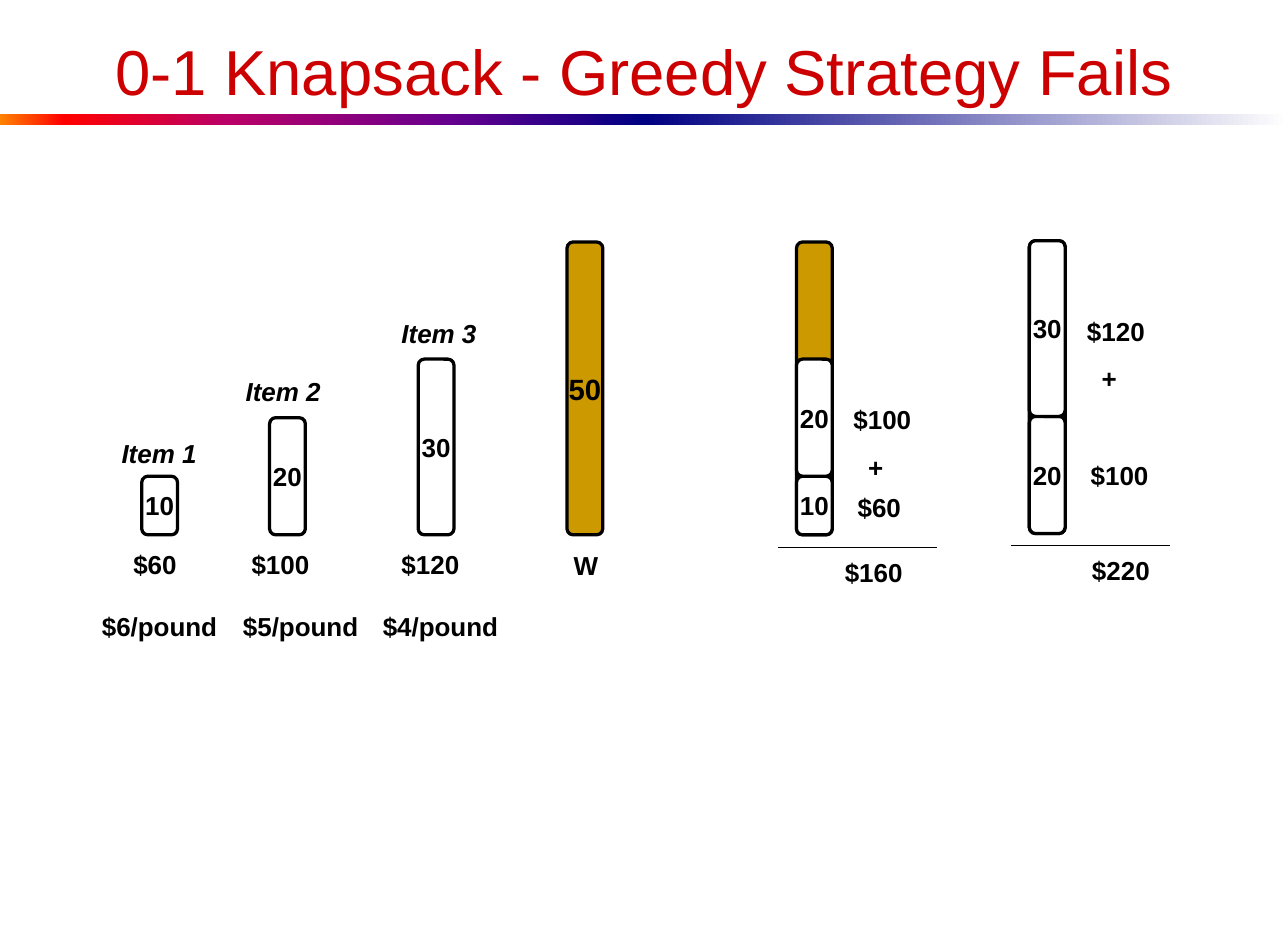
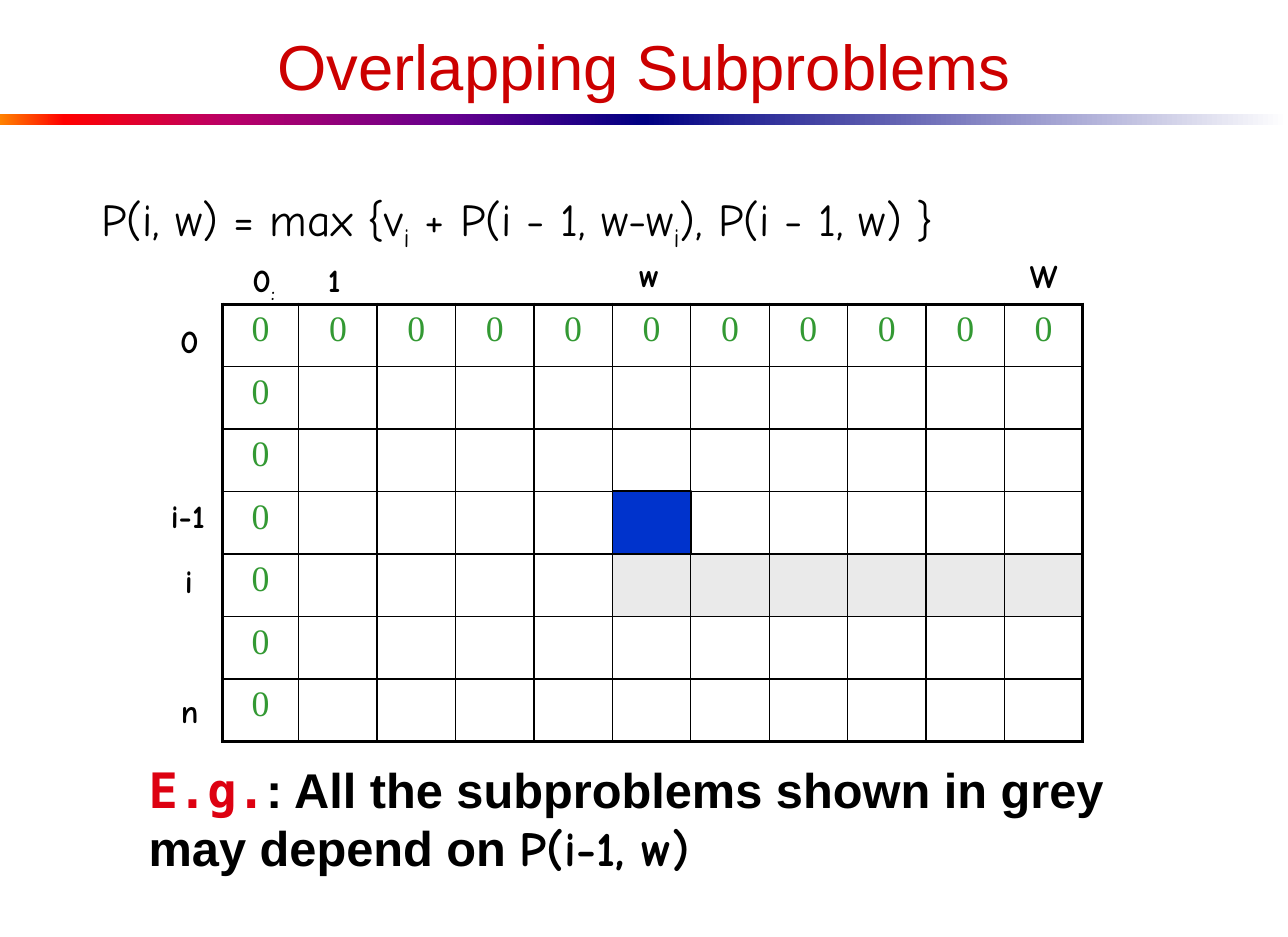
from lxml import etree
from pptx import Presentation
from pptx import util as u
from pptx.dml.color import RGBColor
from pptx.enum import shapes, text
from pptx.oxml import ns

Pt = u.Pt
theme = {
    "colours": {"ink": "000000", "white": "FFFFFF", "gold": "CC9900", "blue": "0033CC", "grey": "EAEAEA"},
    "bands": [
        [(0, "FF8200"), (10, "FF0000"), (35, "BA0066"), (70, "66008F"), (100, "000082")],
        [(0, "000082"), (100, "FFFFFF")],
    ],
    "title": {"name": "Arial", "size": Pt(39), "colour": "CC0000"},
    "label": {"name": "Arial", "size": Pt(16), "bold": True, "colour": "000000"},
    "item": {"name": "Arial", "size": Pt(16), "bold": True, "italic": True, "colour": "000000"},
    "capacity": {"name": "Arial", "size": Pt(18), "bold": True, "colour": "000000"},
    "zero": {"name": "Times New Roman", "size": Pt(22), "colour": "339933"},
    "axis": {"name": "Comic Neue", "size": Pt(20), "bold": True, "colour": "000000"},
    "axis_sub": {"name": "Comic Neue", "size": Pt(20), "bold": True, "colour": "000000", "baseline": "-25000"},
    "formula": {"name": "Comic Neue", "size": Pt(28), "colour": "000000"},
    "formula_sub": {"name": "Comic Neue", "size": Pt(28), "colour": "000000", "baseline": "-25000"},
    "example": {"name": "DejaVu Sans Mono", "size": Pt(30), "bold": True, "colour": "DD0111"},
    "remark": {"name": "Arial", "size": Pt(30), "bold": True, "colour": "000000"},
    "remark_formula": {"name": "Comic Neue", "size": Pt(30), "bold": True, "colour": "000000"},
}
colours = {name: RGBColor.from_string(value) for name, value in theme["colours"].items()}


def write(paragraph, *runs, **layout):
    for name, value in layout.items():
        setattr(paragraph, name, value)
    for words, style in runs:
        run = paragraph.add_run()
        run.text = words
        for name, value in theme[style].items():
            if name == "colour":
                run.font.color.rgb = RGBColor.from_string(value)
            elif name == "baseline":
                run._r.get_or_add_rPr().set(name, value)
            else:
                setattr(run.font, name, value)


def add_label(slide, box, *runs, **layout):
    frame = slide.shapes.add_textbox(*map(Pt, box)).text_frame
    settings = {"word_wrap": True, "auto_size": text.MSO_AUTO_SIZE.NONE}
    for name, value in settings.items():
        setattr(frame, name, value)
    write(frame.paragraphs[0], *runs, **layout)
    return frame


presentation = Presentation()
presentation.slide_width, presentation.slide_height = Pt(792), Pt(576)

slides = []
for title, top in (("0-1 Knapsack - Greedy Strategy Fails", 16.3), ("Overlapping Subproblems", 13.3)):
    slide = presentation.slides.add_slide(presentation.slide_layouts[6])
    slides.append(slide)
    for index, stops in enumerate(theme["bands"]):
        band = slide.shapes.add_shape(
            shapes.MSO_SHAPE.RECTANGLE, Pt(396 * index), Pt(70), Pt(396), Pt(6.8))
        band.shadow.inherit = False
        band.line.fill.background()
        band.fill.gradient()
        band.fill.gradient_angle = 0
        stop_list = band._element.find(".//" + ns.qn("a:gsLst"))
        for stop in list(stop_list):
            stop_list.remove(stop)
        for position, colour in stops:
            stop = etree.SubElement(stop_list, ns.qn("a:gs"), pos=str(position * 1000))
            etree.SubElement(stop, ns.qn("a:srgbClr"), val=colour)
    add_label(slide, (39.6, top, 712.8, 52), (title, "title"), alignment=text.PP_ALIGN.CENTER)

knapsack, overlap = slides

bar_width, pound_height, floor = 22, 3.6, 328.8
bars = [
    (87.2, floor, 10, "white", "label"),
    (165.8, floor, 20, "white", "label"),
    (257.2, floor, 30, "white", "label"),
    (348.7, floor, 50, "gold", "capacity"),
    (489.8, floor, 50, "gold", None),
    (489.8, floor, 10, "white", "label"),
    (489.8, floor - 10 * pound_height, 20, "white", "label"),
    (633, floor - 0.8, 50, "gold", None),
    (633, floor - 0.8, 20, "white", "label"),
    (633, floor - 0.8 - 20 * pound_height, 30, "white", "label"),
]
for left, bottom, weight, colour, style in bars:
    height = weight * pound_height
    bar = knapsack.shapes.add_shape(
        shapes.MSO_SHAPE.ROUNDED_RECTANGLE, Pt(left), Pt(bottom - height), Pt(bar_width), Pt(height))
    bar.shadow.inherit = False
    bar.adjustments[0] = 0.17
    bar.fill.solid()
    bar.fill.fore_color.rgb = colours[colour]
    bar.line.color.rgb = colours["ink"]
    bar.line.width = Pt(2)
    if style:
        bar.text_frame.word_wrap = False
        bar.text_frame.vertical_anchor = text.MSO_ANCHOR.MIDDLE
        write(bar.text_frame.paragraphs[0], (str(weight), style), alignment=text.PP_ALIGN.CENTER)

labels = [
    ("Item 1", "item", 67.7, 265.7),
    ("Item 2", "item", 144, 227.5),
    ("Item 3", "item", 239.8, 191.5),
    ("$60", "label", 74.9, 333.8),
    ("$100", "label", 147.6, 333.8),
    ("$120", "label", 239.8, 333.8),
    ("W", "label", 345.6, 334.3),
    ("$6/pound", "label", 55.6, 371.5),
    ("$5/pound", "label", 142.3, 371.5),
    ("$4/pound", "label", 228.3, 371.5),
    ("$60", "label", 520.3, 298.8),
    ("$160", "label", 512.4, 338.4),
    ("$100", "label", 663.6, 279),
    ("$220", "label", 664.4, 337.5),
]
for words, style, left, top in labels:
    add_label(knapsack, (left, top, 100, 26.6), (words, style))

for value, left, top in (("$100", 517.7, 244.8), ("$120", 661.3, 190.5)):
    frame = add_label(knapsack, (left, top, 60, 55), (value, "label"))
    plus = frame.add_paragraph()
    plus._p.get_or_add_pPr().set("marL", str(Pt(9)))
    write(plus, ("+", "label"), space_before=Pt(9.8))

for left, top in ((478.5, 336.4), (622, 335.3)):
    sum_line = knapsack.shapes.add_connector(
        shapes.MSO_CONNECTOR.STRAIGHT, Pt(left), Pt(top), Pt(left + 97.7), Pt(top))
    sum_line.line.color.rgb = colours["ink"]
    sum_line.line.width = Pt(0.75)
    etree.SubElement(sum_line._element.spPr, ns.qn("a:effectLst"))

rows, columns = 7, 11
grid_left, grid_top, first_width, column_width, row_height = 136.8, 187, 46.9, 48.24, 38.4
marked_row, marked_column = 3, 5

marked = overlap.shapes.add_shape(
    shapes.MSO_SHAPE.RECTANGLE,
    Pt(grid_left + first_width + (marked_column - 1) * column_width),
    Pt(grid_top + marked_row * row_height - 0.4), Pt(column_width), Pt(row_height))
marked.shadow.inherit = False
marked.fill.solid()
marked.fill.fore_color.rgb = colours["blue"]
marked.line.color.rgb = colours["ink"]
marked.line.width = Pt(0.75)

table = overlap.shapes.add_table(
    rows, columns, Pt(grid_left), Pt(grid_top),
    Pt(first_width + (columns - 1) * column_width), Pt(rows * row_height)).table
table.first_row = table.horz_banding = False
for index, column in enumerate(table.columns):
    column.width = Pt(column_width if index else first_width)
for row_index, row in enumerate(table.rows):
    row.height = Pt(row_height)
    for column_index, cell in enumerate(row.cells):
        outer = {
            "lnL": column_index == 0,
            "lnR": column_index == columns - 1,
            "lnT": row_index == 0,
            "lnB": row_index == rows - 1,
        }
        for side, is_outer in outer.items():
            border = etree.SubElement(
                cell._tc.get_or_add_tcPr(), ns.qn("a:" + side), w=str(Pt(2.25 if is_outer else 1)))
            solid = etree.SubElement(border, ns.qn("a:solidFill"))
            etree.SubElement(solid, ns.qn("a:srgbClr"), val=theme["colours"]["ink"])
        if row_index == marked_row + 1 and column_index >= marked_column:
            cell.fill.solid()
            cell.fill.fore_color.rgb = colours["grey"]
        else:
            cell.fill.background()
        if row_index == 0 or column_index == 0:
            write(cell.text_frame.paragraphs[0], ("0", "zero"), alignment=text.PP_ALIGN.CENTER)

axis_labels = [
    ("1", 194.5, 156.2),
    ("w", 385.9, 153),
    ("W", 626.3, 154),
    ("0", 103.7, 194),
    ("i-1", 98, 301.4),
    ("i", 106.6, 341.6),
    ("n", 104.2, 421.2),
]
for words, left, top in axis_labels:
    add_label(overlap, (left, top, 50, 31.7), (words, "axis"))
add_label(overlap, (148.2, 156.2, 45, 31.7), ("0", "axis"), (":", "axis_sub"))

add_label(
    overlap, (55.3, 113.8, 685, 60),
    ("P(i, w) = max {v", "formula"), ("i", "formula_sub"),
    (" + P(i - 1, w-w", "formula"), ("i", "formula_sub"),
    ("), P(i - 1, w) }", "formula"))
add_label(
    overlap, (84.3, 463.4, 659.5, 80.6),
    ("E.g.", "example"),
    (": All the subproblems shown in grey may depend on ", "remark"),
    ("P(i-1, w)", "remark_formula"))

presentation.save("out.pptx")
